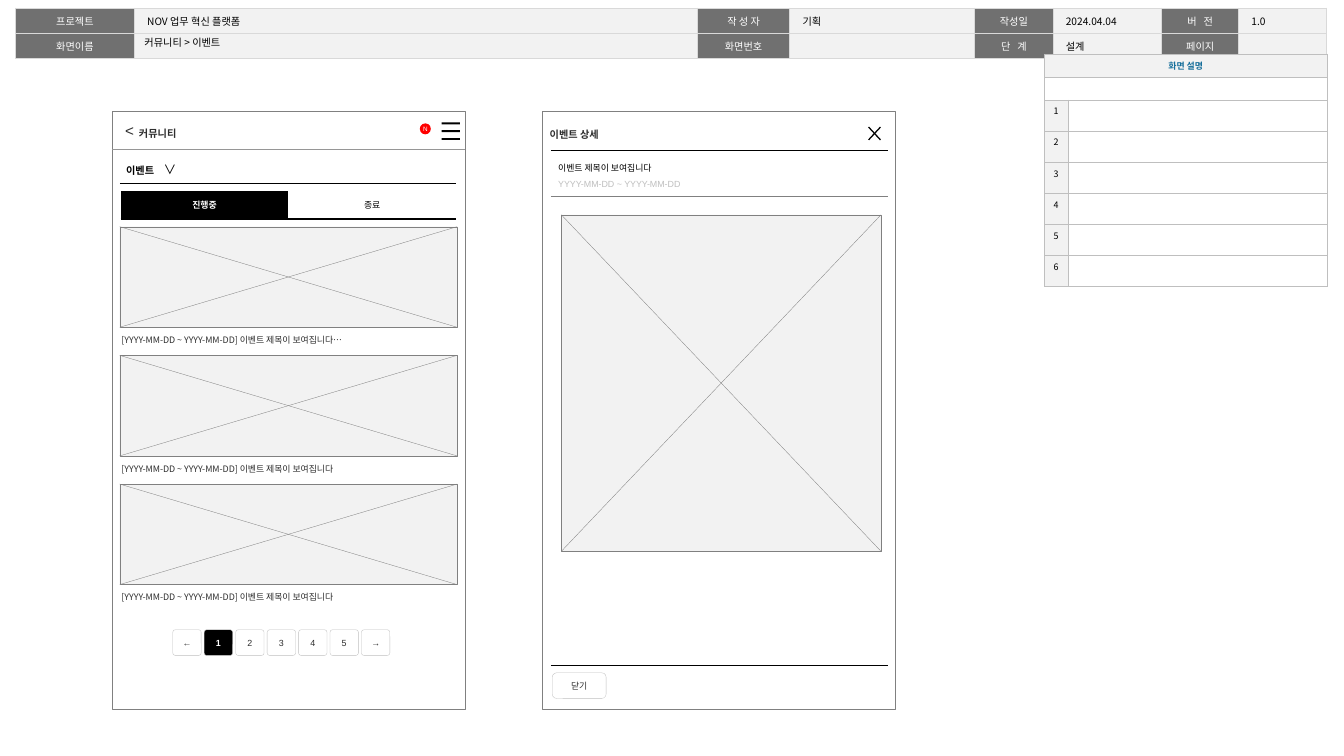
from lxml.etree import SubElement
from pptx import Presentation
from pptx.dml.color import RGBColor
from pptx.enum.shapes import MSO_CONNECTOR, MSO_SHAPE
from pptx.enum.text import MSO_ANCHOR as Anchor, PP_ALIGN as Align
from pptx.oxml import parse_xml
from pptx.oxml.ns import nsdecls, qn
from pptx.util import Inches, Pt

WIDTH, HEIGHT = Inches(14.7), Inches(8.27)
BLACK, WHITE = RGBColor(0, 0, 0), RGBColor(255, 255, 255)
INK, RED = RGBColor(0x2E, 0x2E, 0x2E), RGBColor(255, 0, 0)
LABEL, BLUE = RGBColor(0x70, 0x70, 0x70), RGBColor(0x17, 0x6F, 0x9B)
PALE, SILVER = RGBColor(0xF2, 0xF2, 0xF2), RGBColor(0xD9, 0xD9, 0xD9)
LIGHT, GRAY = RGBColor(0xBF, 0xBF, 0xBF), RGBColor(0x80, 0x80, 0x80)
RULE = RGBColor(0x96, 0x96, 0x96)
KOREAN, LATIN = "Noto Sans CJK KR", "Arial"
NO_STYLE = "{2D5ABB26-0587-4C30-8999-92F81FD0307C}"

# All places are percentages of the slide's width and height.
PHONE_LEFTS, PHONE_TOP, PHONE_WIDTH, PHONE_HEIGHT = (8.37, 40.34), 14.75, 26.26, 79.08
CARD_LEFT, CARD_TOP, CARD_PITCH, CARD_WIDTH, CARD_HEIGHT = 8.91, 29.99, 17.02, 25.1, 13.3
PAGER_LEFT, PAGER_PITCH = 12.86, 2.34
EVENT = "이벤트 제목이 보여집니다"
PERIOD = "YYYY-MM-DD ~ YYYY-MM-DD"


def across(share):
    return round(WIDTH * share / 100)


def down(share):
    return round(HEIGHT * share / 100)


def area(left, top, width, height):
    return across(left), down(top), across(width), down(height)


def format_span(span, size, color, font=KOREAN, bold=False):
    span.font.size, span.font.bold = Pt(size), bold
    span.font.color.rgb = color
    span.font.name = font
    SubElement(span.font._element, qn("a:ea"), typeface=KOREAN)


def write(frame, text, size, color, font=KOREAN, bold=False, align=Align.LEFT, spacing=None):
    frame.text = text
    for para in frame.paragraphs:
        para.alignment, para.line_spacing = align, spacing
        for span in para.runs:
            format_span(span, size, color, font, bold)


def set_margins(holder, side, edge):
    holder.margin_left = holder.margin_right = Inches(side)
    holder.margin_top = holder.margin_bottom = Inches(edge)


def add_label(slide, place, text, size, side=0.1, **style):
    box = slide.shapes.add_textbox(*area(*place))
    box.text_frame.word_wrap = True
    set_margins(box.text_frame, side, 0.05)
    write(box.text_frame, text, size, INK, **style)


def paint(shape, fill=None, line=None, weight=0.25):
    shape.shadow.inherit = False
    if fill is None:
        shape.fill.background()
    else:
        shape.fill.solid()
        shape.fill.fore_color.rgb = fill
    if line is None:
        shape.line.fill.background()
    else:
        shape.line.color.rgb, shape.line.width = line, Pt(weight)


def add_box(slide, kind, place, fill=None, line=None, weight=0.25):
    box = slide.shapes.add_shape(kind, *area(*place))
    paint(box, fill, line, weight)
    return box


def add_line(slide, start, end, color, weight):
    line = slide.shapes.add_connector(
        MSO_CONNECTOR.STRAIGHT, across(start[0]), down(start[1]), across(end[0]), down(end[1]))
    line.line.color.rgb, line.line.width = color, Pt(weight)
    SubElement(line._element.spPr, qn("a:effectLst"))


def add_cross(slide, left, top, width, height, color, weight):
    right, bottom = left + width, top + height
    add_line(slide, (left, top), (right, bottom), color, weight)
    add_line(slide, (left, bottom), (right, top), color, weight)


def add_image_area(slide, *place):
    add_box(slide, MSO_SHAPE.RECTANGLE, place, PALE, GRAY)
    add_cross(slide, *place, GRAY, 0.25)


def add_button(slide, place, text, active=False, corner=0.17):
    button = add_box(slide, MSO_SHAPE.ROUNDED_RECTANGLE, place, BLACK if active else WHITE, LIGHT)
    button.adjustments[0] = corner
    frame = button.text_frame
    frame.word_wrap, frame.vertical_anchor = False, Anchor.MIDDLE
    set_margins(frame, 0.04, 0)
    write(frame, text, 7, WHITE if active else INK, LATIN, active, Align.CENTER)


def add_grid(slide, left, top, columns, rows, fill=WHITE, margins=(0.04, 0.05), anchor=Anchor.TOP):
    """Add an unstyled table whose cells are filled and hold small empty lines."""
    frame = slide.shapes.add_table(
        len(rows), len(columns), *area(left, top, sum(columns), sum(rows)))
    table = frame.table
    table.first_row = table.horz_banding = False
    table._tbl.tblPr.find(qn("a:tableStyleId")).text = NO_STYLE
    for column, share in zip(table.columns, columns):
        column.width = across(share)
    for row, share in zip(table.rows, rows):
        row.height = down(share)
    for cell in table.iter_cells():
        set_margins(cell, *margins)
        cell.vertical_anchor = anchor
        fill_cell(cell, fill)
        SubElement(cell.text_frame.paragraphs[0]._p, qn("a:endParaRPr"), sz="700")
    return table


def fill_cell(cell, color):
    cell.fill.solid()
    cell.fill.fore_color.rgb = color


def set_borders(cells, sides, color, weight):
    """Draw the named sides, given in the order L, R, T, B."""
    for cell in cells:
        for index, side in enumerate(sides):
            cell._tc.get_or_add_tcPr().insert(index, parse_xml(
                f'<a:ln{side} {nsdecls("a")} w="{Pt(weight)}"><a:solidFill>'
                f'<a:srgbClr val="{color}"/></a:solidFill></a:ln{side}>'))


def add_header(slide):
    texts = [("프로젝트", "NOV 업무 혁신 플랫폼", "작 성 자", "기획",
              "작성일", "2024.04.04", "버 전", "1.0"),
             ("화면이름", "", "화면번호", "", "단 계", "설계", "페이지", "")]
    table = add_grid(slide, 1.16, 1.09, [8.84, 41.9, 6.87, 13.77, 5.82, 8.1, 5.71, 6.53],
                     [3.33] * 2, PALE, (0.14, 0.05), Anchor.MIDDLE)
    for row, line in enumerate(texts):
        for column, text in enumerate(line):
            cell, is_label = table.cell(row, column), column % 2 == 0
            if is_label:
                fill_cell(cell, LABEL)
            if text:
                write(cell.text_frame, text, 8, WHITE if is_label else BLACK, spacing=1.05,
                      align=Align.CENTER if is_label else Align.LEFT)
    for row, column in ((0, 6), (1, 4)):
        table.cell(row, column).text_frame.paragraphs[0].runs[0].font._element.set("spc", "180")
    set_borders(table.iter_cells(), "LRTB", SILVER, 1)


def add_title(slide):
    """Fill the title and bring it in front of the header table."""
    title = slide.shapes.title
    title.left, title.top, title.width, title.height = area(10, 4.59, 26.19, 1.93)
    set_margins(title.text_frame, 0.11, 0.05)
    title.text_frame.vertical_anchor = Anchor.MIDDLE
    write(title.text_frame, "커뮤니티 > 이벤트", 8, BLACK)
    slide.shapes._spTree.append(title._element)


def add_description(slide):
    table = add_grid(slide, 77.69, 7.13, [1.77, 19.3], [3.06] * 2 + [4.11] * 6)
    set_borders(table.iter_cells(), "LRTB", LIGHT, 0.25)
    for row in range(2):
        table.cell(row, 0).merge(table.cell(row, 1))
    heading = table.cell(0, 0)
    fill_cell(heading, PALE)
    heading.vertical_anchor = Anchor.MIDDLE
    write(heading.text_frame, "화면 설명", 7, BLUE, bold=True, align=Align.CENTER)
    for number in range(1, 7):
        cell = table.cell(number + 1, 0)
        fill_cell(cell, PALE)
        write(cell.text_frame, str(number), 7, BLACK, align=Align.CENTER)


def add_menu_icon(slide):
    left, right = across(32.86), across(34.22)
    tops = [down(16.2 + 1.03 * bar) for bar in range(3)]
    thickness = down(0.24)
    builder = slide.shapes.build_freeform(left, tops[0])
    for top in tops:
        builder.move_to(left, top)
        builder.add_line_segments(
            [(left, top + thickness), (right, top + thickness), (right, top)], close=True)
    paint(builder.convert_to_shape(), BLACK)


def add_list_bar(slide):
    left = PHONE_LEFTS[0]
    add_line(slide, (left, 19.78), (left + PHONE_WIDTH, 19.78), RULE, 0.5)
    badge = add_box(slide, MSO_SHAPE.OVAL, (31.24, 16.32, 0.82, 1.45), RED)
    badge.text_frame.word_wrap = False
    badge.text_frame.vertical_anchor = Anchor.MIDDLE
    set_margins(badge.text_frame, 0, 0)
    write(badge.text_frame, "N", 5, WHITE, LATIN, align=Align.CENTER)
    add_label(slide, (8.64, 15.48, 2.18, 3.63), "<", 12, font=LATIN)
    add_label(slide, (10.34, 15.48, 13.47, 3.39), "커뮤니티", 8, 0,
              font=LATIN, bold=True, spacing=1.5)
    add_menu_icon(slide)


def add_filters(slide):
    menu = add_grid(slide, 8.91, 20.5, [5.71, 3.2, 4.49, 4.49, 7.14], [3.75], anchor=Anchor.MIDDLE)
    set_borders(menu.iter_cells(), "B", BLACK, 1)
    cell = menu.cell(0, 0)
    cell.margin_left = Inches(0.07)
    para = cell.text_frame.paragraphs[0]
    stops = SubElement(para._p.get_or_add_pPr(), qn("a:tabLst"))
    SubElement(stops, qn("a:tab"), pos=str(Inches(0.41)), algn="l")
    for text, size, bold in (("이벤트\t", 8, True), ("∨", 10, False)):
        span = para.add_run()
        span.text = text
        format_span(span, size, BLACK, LATIN, bold)

    tabs = add_grid(slide, 8.98, 25.22, [12.48] * 2, [3.75], anchor=Anchor.MIDDLE)
    set_borders(tabs.iter_cells(), "B", BLACK, 1)
    fill_cell(tabs.cell(0, 0), BLACK)
    for column, (text, color) in enumerate((("진행중", WHITE), ("종료", BLACK))):
        write(tabs.cell(0, column).text_frame, text, 7, color, LATIN, column == 0, Align.CENTER)


def add_event_list(slide):
    add_list_bar(slide)
    add_filters(slide)
    for index, ending in enumerate(("…", "", "")):
        top = CARD_TOP + index * CARD_PITCH
        add_image_area(slide, CARD_LEFT, top, CARD_WIDTH, CARD_HEIGHT)
        add_label(slide, (8.37, top + 13.66, 23.4, 2.66), f"[{PERIOD}] {EVENT}{ending}", 7)
    for index, text in enumerate("←12345→"):
        place = (PAGER_LEFT + index * PAGER_PITCH, 83.31, 2.11, 3.39)
        add_button(slide, place, text, text == "1", 0.1)


def add_event_detail(slide):
    add_label(slide, (40.9, 15.6, 13.47, 3.39), "이벤트 상세", 8, 0,
              font=LATIN, bold=True, spacing=1.5)
    add_cross(slide, 64.63, 16.81, 0.88, 1.69, BLACK, 1)
    table = add_grid(slide, 40.99, 19.95, [13.13, 5.17, 6.8], [6.05, 60.26, 1.83],
                     margins=(0, 0), anchor=Anchor.MIDDLE)
    for row, (top, bottom) in enumerate(((BLACK, GRAY), (GRAY, WHITE), (WHITE, BLACK))):
        cells = [table.cell(row, column) for column in range(3)]
        for side, color in (("B", bottom), ("T", top)):
            set_borders(cells, side, color, 1 if color == BLACK else 0.25)
        if row:
            cells[0].merge(cells[-1])
    heading = table.cell(0, 0)
    heading.margin_left, heading.margin_bottom = Inches(0.08), Inches(0.04)
    write(heading.text_frame, f"{EVENT}\n{PERIOD}", 7, BLACK, LATIN, spacing=1.5)
    heading.text_frame.paragraphs[1].runs[0].font.color.rgb = LIGHT
    add_image_area(slide, 41.77, 28.42, 23.78, 44.5)
    add_button(slide, (41.09, 89, 4.01, 3.39), "닫기")


def main():
    deck = Presentation()
    deck.slide_width, deck.slide_height = WIDTH, HEIGHT
    slide = deck.slides.add_slide(deck.slide_layouts[5])
    add_header(slide)
    add_title(slide)
    for left in PHONE_LEFTS:
        add_box(slide, MSO_SHAPE.RECTANGLE, (left, PHONE_TOP, PHONE_WIDTH, PHONE_HEIGHT),
                line=GRAY, weight=0.5)
    add_description(slide)
    add_event_list(slide)
    add_event_detail(slide)
    deck.save("out.pptx")


if __name__ == "__main__":
    main()
